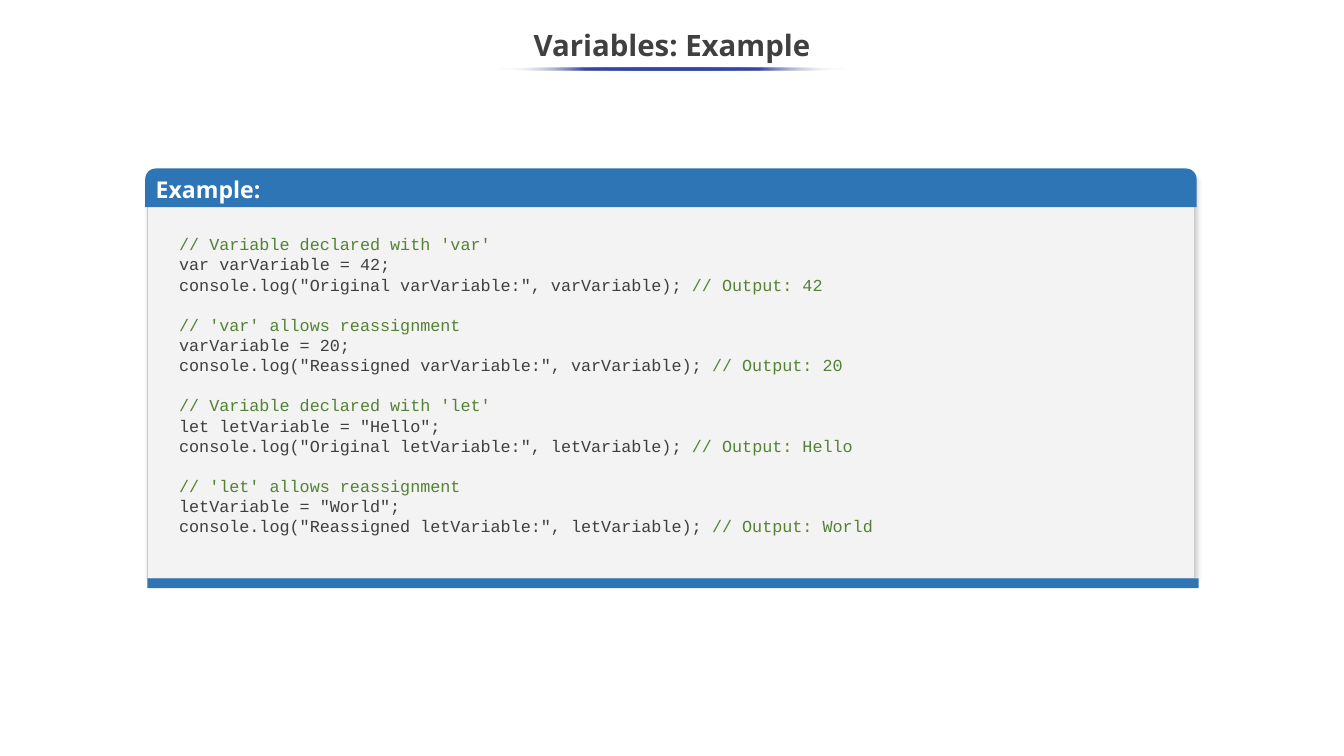
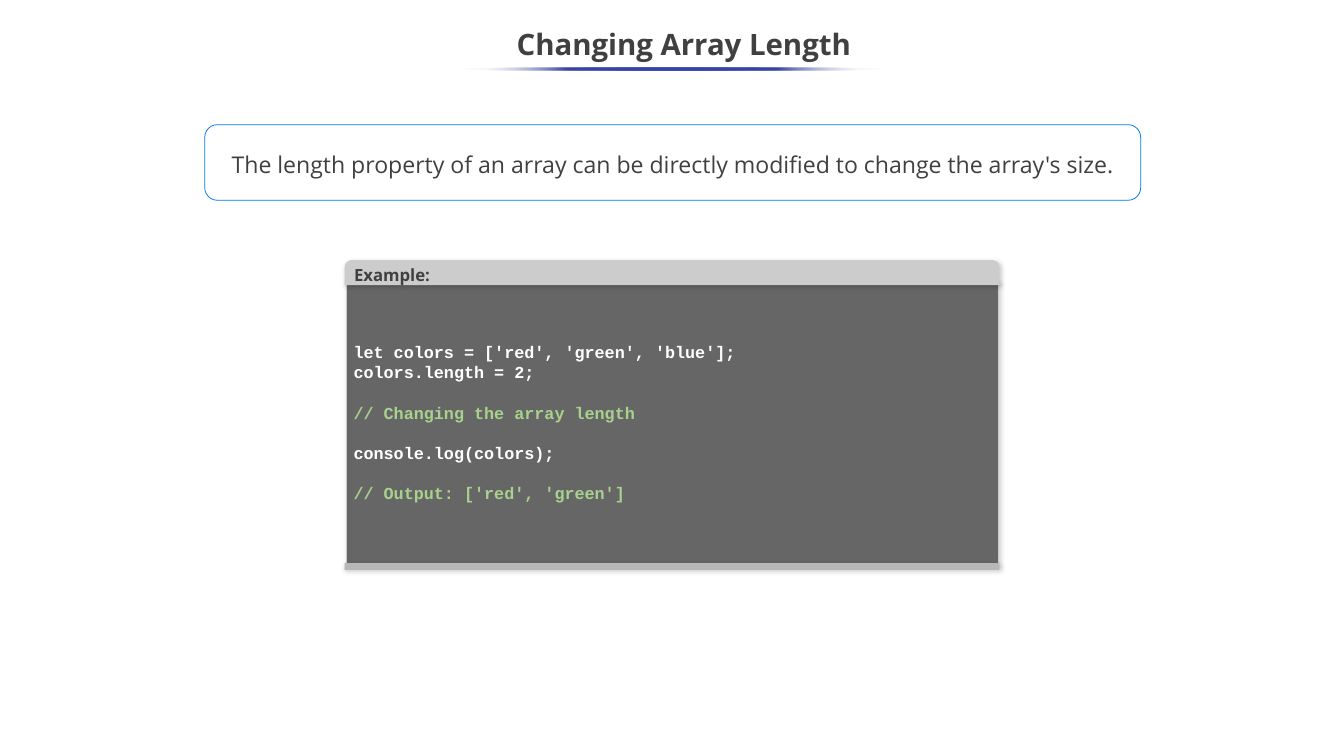
from lxml.etree import SubElement
from pptx import Presentation
from pptx.dml.color import RGBColor
from pptx.enum.shapes import MSO_SHAPE
from pptx.enum.text import MSO_ANCHOR, PP_ALIGN
from pptx.oxml import parse_xml
from pptx.oxml.ns import nsdecls, qn
from pptx.util import Cm, Pt

COLORS = {
    "text": "404040", "accent": "3645A9", "white": "FFFFFF", "border": "CCCCCC",
    "blue": "2E75B5", "paper": "F3F3F3", "code": "3F3F3F", "comment": "548235",
    "dark": "666666", "silver": "CCCCCC", "footer": "B7B7B7",
    "light_comment": "A9D18E", "callout": "0078EE", "shadow": "000000",
}
HEADING_FONT, CODE_FONT = "Open Sans", "Courier New"
CODE_SIZE, BLANK_LINE = 16, 19.2
INSETS = (0.25, 0.13, 0.25, 0.13)
EVEN_INSETS = (0.25, 0.25, 0.25, 0.25)

VARIABLES_CODE = [
    ["// Variable declared with 'var'",
     "var varVariable = 42;",
     'console.log("Original varVariable:", varVariable); // Output: 42'],
    ["// 'var' allows reassignment",
     "varVariable = 20;",
     'console.log("Reassigned varVariable:", varVariable); // Output: 20'],
    ["// Variable declared with 'let'",
     'let letVariable = "Hello";',
     'console.log("Original letVariable:", letVariable); // Output: Hello'],
    ["// 'let' allows reassignment",
     'letVariable = "World";',
     'console.log("Reassigned letVariable:", letVariable); // Output: World'],
]
ARRAY_CODE = [
    ["let colors = ['red', 'green', 'blue'];", "colors.length = 2;"],
    ["// Changing the array length"],
    ["console.log(colors);"],
    ["// Output: ['red', 'green']"],
]
CALLOUT = ("The length property of an array can be directly modified "
           "to change the array's size.")


def rgb(name):
    return RGBColor.from_string(COLORS[name])


def add_shadow(shape):
    properties = shape._element.spPr
    effects = properties.find(qn("a:effectLst"))
    shadow = SubElement(effects, qn("a:outerShdw"), blurRad=str(Pt(4.5)),
                        dist=str(Pt(1.5)), dir=str(47 * 60000),
                        algn="tl", rotWithShape="0")
    color = SubElement(shadow, qn("a:srgbClr"), val=COLORS["shadow"])
    SubElement(color, qn("a:alpha"), val="20000")


def add_box(shapes, kind, box, fill=None, line=None, shadow=False):
    shape = shapes.add_shape(kind, *map(Cm, box))
    shape.shadow.inherit = False
    if fill:
        shape.fill.solid()
        shape.fill.fore_color.rgb = rgb(fill)
    else:
        shape.fill.background()
    if line:
        shape.line.color.rgb = rgb(line)
        shape.line.width = Pt(0.75)
    else:
        shape.line.fill.background()
    if shadow:
        add_shadow(shape)
    return shape


def prepare_frame(shape, insets=INSETS, anchor=MSO_ANCHOR.MIDDLE):
    frame = shape.text_frame
    frame.word_wrap = True
    frame.vertical_anchor = anchor
    (frame.margin_left, frame.margin_top,
     frame.margin_right, frame.margin_bottom) = map(Cm, insets)
    return frame


def style(run, font_name, size, color, bold=False):
    run.font.name = font_name
    run.font.size = Pt(size)
    run.font.bold = bold
    run.font.color.rgb = rgb(color)


def write_line(shape, text, size, color, bold=False, align=PP_ALIGN.LEFT,
               spacing=1.0, insets=INSETS):
    frame = prepare_frame(shape, insets)
    frame.text = text
    paragraph = frame.paragraphs[0]
    paragraph.alignment = align
    paragraph.line_spacing = spacing
    style(paragraph.runs[0], HEADING_FONT, size, color, bold)
    return paragraph


def write_code(frame, blocks, code_color, comment_color, bold=False):
    paragraph = None
    for block in blocks:
        for index, line in enumerate(block):
            first = paragraph is None
            paragraph = frame.paragraphs[0] if first else frame.add_paragraph()
            paragraph.alignment = PP_ALIGN.LEFT
            if index == 0 and not first:
                paragraph.space_before = Pt(BLANK_LINE)
            code, slashes, comment = line.partition("//")
            for text, color in ((code, code_color), (slashes + comment, comment_color)):
                if text:
                    run = paragraph.add_run()
                    run.text = text
                    style(run, CODE_FONT, CODE_SIZE, color, bold)


def add_title(slide, text, left, top, underline_left, underline_width, indent=0):
    title = slide.shapes.add_textbox(Cm(left), Cm(top), Cm(45.21), Cm(1.9))
    paragraph = write_line(title, text, 28, "text", True, PP_ALIGN.CENTER, 0.9)
    if indent:
        paragraph._p.get_or_add_pPr().set("marL", str(Cm(indent)))
        paragraph._p.get_or_add_pPr().set("indent", "0")

    underline = add_box(slide.shapes, MSO_SHAPE.OVAL,
                        (underline_left, 2.26, underline_width, 0.1))
    stops = ""
    for position in range(0, 101, 25):
        edge = position in (0, 100)
        color = COLORS["white" if edge else "accent"]
        alpha = '<a:alpha val="0"/>' if edge else ""
        stops += (f'<a:gs pos="{position * 1000}"><a:srgbClr val="{color}">'
                  f'{alpha}</a:srgbClr></a:gs>')
    gradient = parse_xml(f'<a:gradFill {nsdecls("a")} rotWithShape="1">'
                         f'<a:gsLst>{stops}</a:gsLst>'
                         '<a:lin ang="10800000" scaled="0"/></a:gradFill>')
    properties = underline._element.spPr
    properties.replace(properties.find(qn("a:noFill")), gradient)


def add_panel(slide, body, header, footer, fills, header_style, shadow):
    group = slide.shapes.add_group_shape()
    body_fill, header_fill, footer_fill = fills
    body_shape = add_box(group.shapes, MSO_SHAPE.RECTANGLE, body, body_fill, "border", True)
    header_shape = add_box(group.shapes, MSO_SHAPE.ROUND_2_SAME_RECTANGLE,
                           header, header_fill, shadow=shadow)
    header_shape.adjustments[0] = 0.275
    header_shape.adjustments[1] = 0
    write_line(header_shape, "Example:", bold=True, **header_style)
    add_box(group.shapes, MSO_SHAPE.RECTANGLE, footer, footer_fill, shadow=shadow)
    return group, body_shape


def build_variables(slide):
    add_title(slide, "Variables: Example", -0.03, 0.64, 16.76, 11.66)
    group, _ = add_panel(
        slide, (4.95, 5.97, 35.2, 13.46), (4.88, 5.66, 35.33, 1.3),
        (4.95, 19.43, 35.33, 0.33), ("paper", "blue", "blue"),
        {"size": 22, "color": "white"}, shadow=False)
    code_box = group.shapes.add_textbox(Cm(5.77), Cm(7.06), Cm(33.71), Cm(11.89))
    frame = prepare_frame(code_box, (0.25, 0.8, 0.25, 0.13), MSO_ANCHOR.TOP)
    write_code(frame, VARIABLES_CODE, "code", "comment")


def build_array_length(slide):
    add_title(slide, "Changing Array Length", 0.05, 0.58, 15.54, 14.07, indent=0.64)
    _, body = add_panel(
        slide, (11.63, 9.47, 21.92, 9.45), (11.58, 8.74, 22, 0.84),
        (11.58, 18.92, 22, 0.23), ("dark", "silver", "footer"),
        {"size": 16, "color": "text", "spacing": 1.15, "insets": EVEN_INSETS},
        shadow=True)
    write_code(prepare_frame(body, EVEN_INSETS), ARRAY_CODE,
               "white", "light_comment", bold=True)
    callout = add_box(slide.shapes, MSO_SHAPE.ROUNDED_RECTANGLE,
                      (6.88, 4.19, 31.45, 2.54), line="callout")
    write_line(callout, CALLOUT, 22, "text", align=PP_ALIGN.CENTER,
               spacing=1.15, insets=(0.25, 0, 0.25, 0))


def main():
    presentation = Presentation()
    presentation.slide_width = Cm(45.16)
    presentation.slide_height = Cm(25.4)
    for build in (build_variables, build_array_length):
        build(presentation.slides.add_slide(presentation.slide_layouts[6]))
    presentation.save("out.pptx")


if __name__ == "__main__":
    main()
